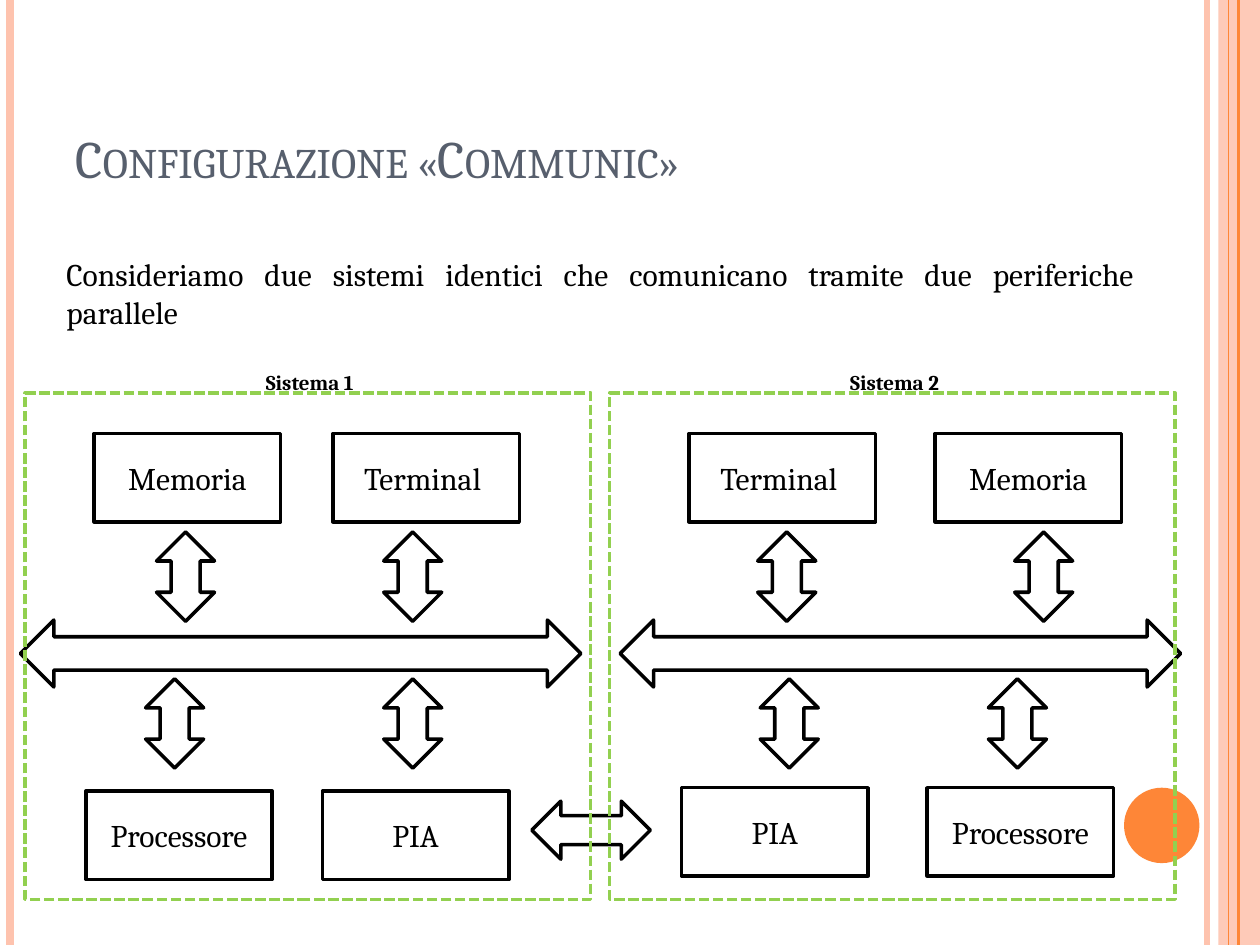
"""Build the slide showing two identical systems that communicate through their PIAs."""
from lxml.etree import SubElement
from pptx import Presentation
from pptx.dml.color import RGBColor
from pptx.enum.dml import MSO_LINE
from pptx.enum.shapes import MSO_CONNECTOR, MSO_SHAPE
from pptx.enum.text import MSO_ANCHOR as ANCHOR, PP_ALIGN as ALIGN
from pptx.oxml.ns import qn
from pptx.util import Cm, Pt

WHITE = RGBColor(0xFF, 0xFF, 0xFF)
BLACK = RGBColor(0x00, 0x00, 0x00)
SLATE = RGBColor(0x57, 0x5F, 0x6D)
PEACH = RGBColor(0xFE, 0xC3, 0xAE)
ORANGE = RGBColor(0xFE, 0x86, 0x37)
GREEN = RGBColor(0x92, 0xD0, 0x50)


def write(shape, text, size=18, color=BLACK, bold=False, align=ALIGN.LEFT, anchor=ANCHOR.MIDDLE):
    frame = shape.text_frame
    frame.word_wrap = True
    frame.vertical_anchor = anchor
    paragraph = frame.paragraphs[0]
    paragraph.alignment = align
    run = paragraph.add_run()
    run.text = text
    run.font.name = "Cambria"
    run.font.size = Pt(size)
    run.font.bold = bold
    run.font.color.rgb = color
    return run


def add_shape(kind, left, top, width, height, fill=WHITE, line=BLACK, rotation=0):
    shape = slide.shapes.add_shape(kind, Cm(left), Cm(top), Cm(width), Cm(height))
    shape.shadow.inherit = False
    shape.rotation = rotation
    if fill is None:
        shape.fill.background()
    else:
        shape.fill.solid()
        shape.fill.fore_color.rgb = fill
    if line is None:
        shape.line.fill.background()
    else:
        shape.line.color.rgb = line
        shape.line.width = Pt(2)
    return shape


presentation = Presentation()
presentation.slide_width = Cm(25.4)
presentation.slide_height = Cm(19.05)
slide = presentation.slides.add_slide(presentation.slide_layouts[5])

band = add_shape(MSO_SHAPE.RECTANGLE, 24.56, 0, 0.84, 19.05, PEACH, None)
band_color = band.fill._xPr.find(qn("a:solidFill"))[0]
SubElement(band_color, qn("a:alpha"), val="87000")

for x, color, width in [(24.33, PEACH, 3), (0.2, PEACH, 4.5), (24.97, ORANGE, 1.5), (24.77, ORANGE, 0.75)]:
    rule = slide.shapes.add_connector(MSO_CONNECTOR.STRAIGHT, Cm(x), 0, Cm(x), Cm(19.05))
    rule.line.color.rgb = color
    rule.line.width = Pt(width)
    SubElement(rule._element.spPr, qn("a:effectLst"))

add_shape(MSO_SHAPE.OVAL, 22.66, 15.88, 1.52, 1.52, ORANGE, None)

title = slide.shapes.title
title.left, title.top, title.width, title.height = Cm(1.27), Cm(0.76), Cm(20.75), Cm(3.18)
title_run = write(title, "Configurazione «Communic»", size=30, color=SLATE, anchor=ANCHOR.BOTTOM)
title_run._r.get_or_add_rPr().set("cap", "small")

for left in (0.41, 12.5):
    add_shape(MSO_SHAPE.LEFT_RIGHT_ARROW, left, 12.5, 11.3, 1.35)

for top, lefts in [(11.04, (2.84, 7.42, 14.96, 20.14)), (14, (2.62, 7.42, 15.01, 19.61))]:
    for left in lefts:
        add_shape(MSO_SHAPE.LEFT_RIGHT_ARROW, left, top, 1.8, 1.17, rotation=90)

add_shape(MSO_SHAPE.LEFT_RIGHT_ARROW, 10.72, 16.15, 2.39, 1.17, rotation=180)

units = [
    ("Memoria", 1.9, 8.74), ("Terminal ", 6.71, 8.74),
    ("Terminal ", 13.89, 8.74), ("Memoria", 18.85, 8.74),
    ("Processore", 1.73, 15.95), ("PIA", 6.5, 15.95),
    ("PIA", 13.74, 15.88), ("Processore", 18.69, 15.88),
]
for name, left, top in units:
    unit = add_shape(MSO_SHAPE.RECTANGLE, left, top, 3.76, 1.78)
    write(unit, name, align=ALIGN.CENTER)

intro = add_shape(MSO_SHAPE.RECTANGLE, 1.09, 4.32, 22.02, 3.18, line=None)
write(
    intro,
    "Consideriamo due sistemi identici che comunicano tramite due periferiche parallele",
    align=ALIGN.JUSTIFY,
)

for name, left in [("Sistema 1", 0.51), ("Sistema 2", 12.29)]:
    system = add_shape(MSO_SHAPE.RECTANGLE, left, 7.92, 11.4, 10.21, None, GREEN)
    system.line.dash_style = MSO_LINE.SQUARE_DOT
    label = slide.shapes.add_textbox(Cm(left + 4.6), Cm(7.32), Cm(3), Cm(0.76))
    write(label, name, size=12, bold=True, anchor=ANCHOR.TOP)

presentation.save("out.pptx")
